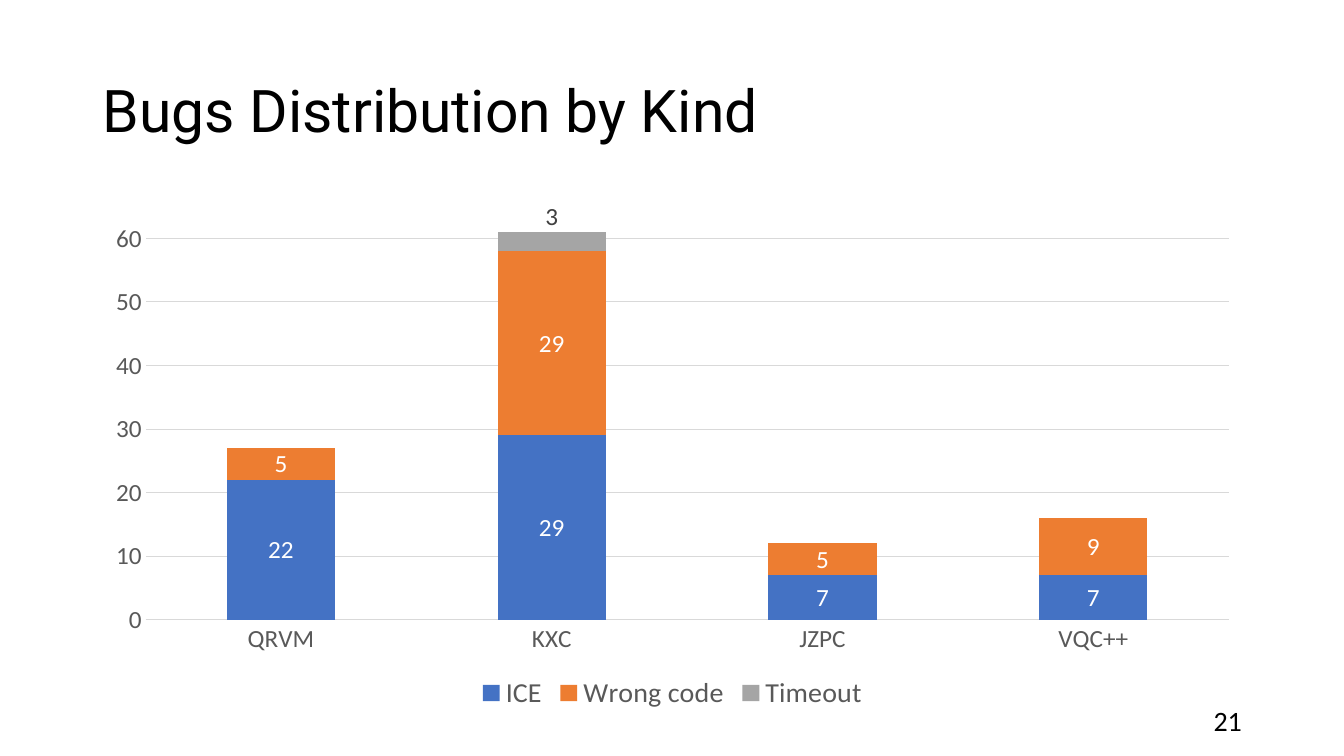
"""Build a slide with a stacked column chart of bugs by kind."""
from dataclasses import dataclass

from pptx import Presentation
from pptx.chart.chart import Chart
from pptx.chart.data import CategoryChartData
from pptx.dml.color import RGBColor
from pptx.enum.chart import XL_CHART_TYPE, XL_LEGEND_POSITION, XL_TICK_MARK
from pptx.enum.text import MSO_ANCHOR, PP_ALIGN
from pptx.oxml import parse_xml
from pptx.oxml.ns import nsdecls
from pptx.slide import Slide
from pptx.text.text import Font
from pptx.util import Cm, Pt

STACKED = XL_CHART_TYPE.COLUMN_STACKED
BOTTOM = XL_LEGEND_POSITION.BOTTOM
NO_TICK = XL_TICK_MARK.NONE
MIDDLE = MSO_ANCHOR.MIDDLE
LEFT, RIGHT = PP_ALIGN.LEFT, PP_ALIGN.RIGHT

BLACK = RGBColor(0x00, 0x00, 0x00)
WHITE = RGBColor(0xFF, 0xFF, 0xFF)
BLUE = RGBColor(0x44, 0x72, 0xC4)
ORANGE = RGBColor(0xED, 0x7D, 0x31)
SILVER = RGBColor(0xA5, 0xA5, 0xA5)
DARK = RGBColor(0x40, 0x40, 0x40)
GRAY = RGBColor(0x59, 0x59, 0x59)
PALE = RGBColor(0xD9, 0xD9, 0xD9)


@dataclass
class Label:
    text: str
    left: float
    top: float
    width: float
    height: float
    face: str
    size: int
    align: PP_ALIGN
    pitch: float


@dataclass
class Kind:
    name: str
    counts: tuple[int, ...]
    color: RGBColor


LABELS = (
    Label("Bugs Distribution by Kind", 2.34, 1.02, 29.21, 3.68, "Roboto", 42, LEFT, 0.9),
    Label("21", 23.93, 17.65, 7.62, 1.02, "Calibri", 20, RIGHT, 1.0),
)
TOOLS = ("QRVM", "KXC", "JZPC", "VQC++")
KINDS = (
    Kind("ICE", (22, 29, 7, 7), BLUE),
    Kind("Wrong code", (5, 29, 5, 9), ORANGE),
    Kind("Timeout", (0, 3, 0, 0), SILVER),
)


def set_font(font: Font, size: int, color: RGBColor, face: str = "Calibri") -> None:
    font.name = face
    font.size = Pt(size)
    font.bold = False
    font.color.rgb = color


def add_label(slide: Slide, label: Label) -> None:
    box = slide.shapes.add_textbox(
        Cm(label.left), Cm(label.top), Cm(label.width), Cm(label.height))
    frame = box.text_frame
    frame.word_wrap = True
    frame.vertical_anchor = MIDDLE
    frame.text = label.text
    line = frame.paragraphs[0]
    line.alignment = label.align
    line.line_spacing = label.pitch
    set_font(line.runs[0].font, label.size, BLACK, label.face)


def add_bars(slide: Slide) -> Chart:
    data = CategoryChartData()
    data.categories = TOOLS
    for kind in KINDS:
        data.add_series(kind.name, kind.counts)
    chart = slide.shapes.add_chart(
        STACKED, Cm(2.34), Cm(5.08), Cm(29.21), Cm(12.95), data).chart
    set_font(chart.font, 10, BLACK)
    chart.has_title = False
    chart.has_legend = True
    chart.legend.position = BOTTOM
    chart.legend.include_in_layout = False
    set_font(chart.legend.font, 20, GRAY)
    return chart


def style_axes(chart: Chart) -> None:
    cats, vals = chart.category_axis, chart.value_axis
    for axis in (cats, vals):
        axis.major_tick_mark = axis.minor_tick_mark = NO_TICK
        set_font(axis.tick_labels.font, 18, GRAY)
    vals.minimum_scale, vals.maximum_scale, vals.major_unit = 0, 62, 10
    vals.format.line.fill.background()
    for rule in (cats.format.line, vals.major_gridlines.format.line):
        rule.color.rgb = PALE
        rule.width = Pt(0.75)


def style_bars(chart: Chart) -> None:
    plot = chart.plots[0]
    plot.vary_by_categories = False
    plot.gap_width, plot.overlap = 150, 100
    for kind, bars in zip(KINDS, plot.series):
        bars.format.fill.solid()
        bars.format.fill.fore_color.rgb = kind.color
        tags = bars.data_labels
        full = all(kind.counts)
        tags.show_value = full
        set_font(tags.font, 18, WHITE if full else DARK)
        if not full:
            spot = kind.counts.index(max(kind.counts))
            set_font(bars.points[spot].data_label.font, 18, DARK)
            lift_tag(chart)


def lift_tag(chart: Chart) -> None:
    tag = chart.element.xpath(".//c:dLbl")[0]
    tag.insert(1, parse_xml(
        f'<c:layout {nsdecls("c")}><c:manualLayout>'
        '<c:x val="0"/><c:y val="-0.05"/>'
        '</c:manualLayout></c:layout>'))


def main() -> None:
    deck = Presentation()
    deck.slide_width, deck.slide_height = Cm(33.87), Cm(19.05)
    slide = deck.slides.add_slide(deck.slide_layouts[6])
    chart = add_bars(slide)
    style_axes(chart)
    style_bars(chart)
    for label in LABELS:
        add_label(slide, label)
    deck.save("out.pptx")


if __name__ == "__main__":
    main()
